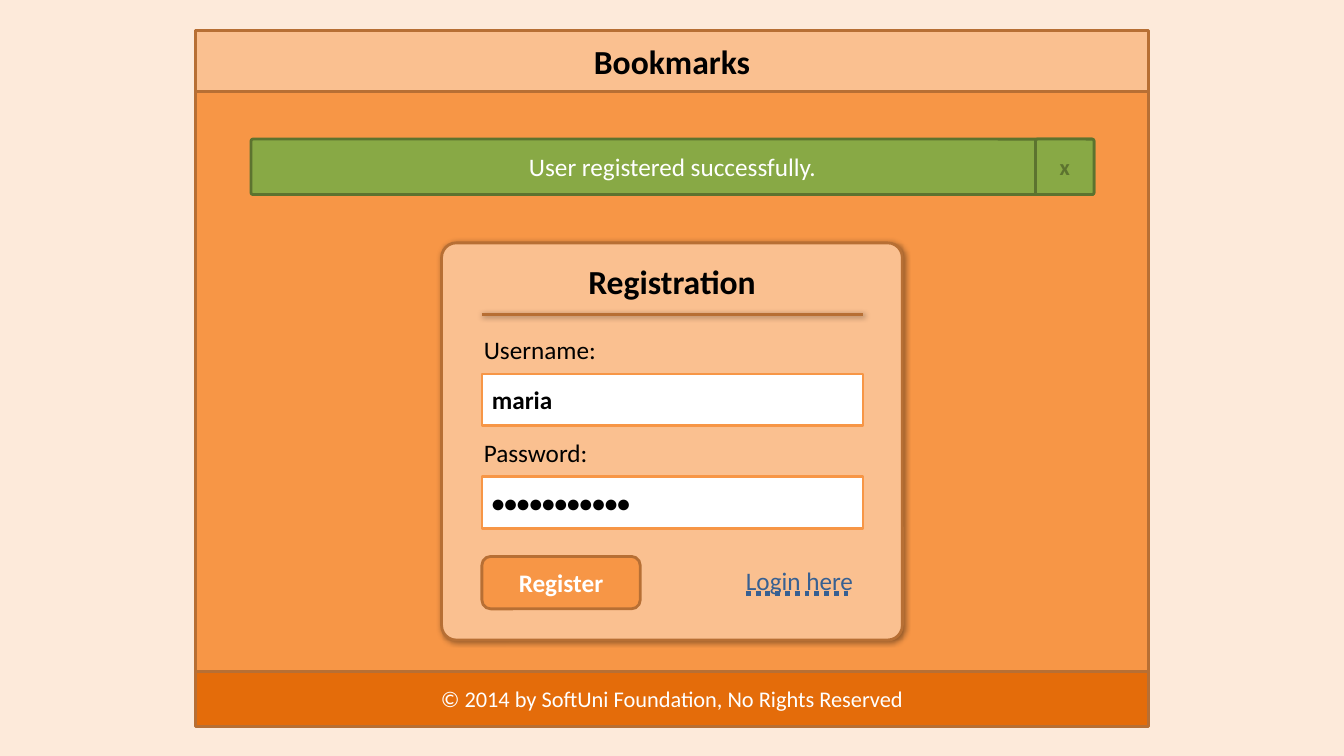
import pptx
import pptx.util
import pptx.dml.color
import pptx.enum.shapes
import pptx.enum.text
import pptx.oxml
import pptx.oxml.ns
import lxml.etree

Inches, Pt = pptx.util.Inches, pptx.util.Pt
RGBColor = pptx.dml.color.RGBColor
Shape = pptx.enum.shapes.MSO_SHAPE
Align = pptx.enum.text.PP_ALIGN
Anchor = pptx.enum.text.MSO_ANCHOR
qn = pptx.oxml.ns.qn

CREAM = RGBColor(0xFD, 0xEA, 0xDA)
PEACH = RGBColor(0xFA, 0xC0, 0x90)
ORANGE = RGBColor(0xF7, 0x96, 0x46)
RUST = RGBColor(0xE4, 0x6C, 0x0A)
BROWN = RGBColor(0xB7, 0x6F, 0x34)
GREEN = RGBColor(0x88, 0xA9, 0x45)
MOSS = RGBColor(0x5C, 0x73, 0x2F)
BLUE = RGBColor(0x37, 0x60, 0x92)
WHITE = RGBColor(0xFF, 0xFF, 0xFF)
BLACK = RGBColor(0, 0, 0)


def write(shape, text, size=18, color=BLACK, bold=False, align=Align.CENTER,
          anchor=Anchor.MIDDLE, under=None):
    """Put one formatted line of text in a shape and return its run."""
    frame = shape.text_frame
    frame.word_wrap = True
    frame.vertical_anchor = anchor
    para = frame.paragraphs[0]
    para.alignment = align
    run = para.add_run()
    run.text = text
    font = run.font
    font.name, font.size, font.bold = "Calibri", Pt(size), bold
    font.color.rgb = color
    font.underline = under
    return run


def panel(slide, x, y, w, h, fill, line, kind=Shape.RECTANGLE, round=None):
    """Draw a filled and outlined shape without a shadow."""
    shape = slide.shapes.add_shape(kind, Inches(x), Inches(y), Inches(w), Inches(h))
    if round is not None:
        shape.adjustments[0] = round
    shape.shadow.inherit = False
    shape.fill.solid()
    shape.fill.fore_color.rgb = fill
    shape.line.color.rgb = line
    shape.line.width = Pt(2)
    return shape


def label(slide, x, y, w, h, text, **style):
    """Add a text box that grows with its text."""
    box = slide.shapes.add_textbox(Inches(x), Inches(y), Inches(w), Inches(h))
    write(box, text, anchor=Anchor.TOP, **style)
    box.text_frame.auto_size = pptx.enum.text.MSO_AUTO_SIZE.SHAPE_TO_FIT_TEXT


def shade(shape):
    """Give a shape or connector a soft shadow to the lower right."""
    props = shape._element.spPr
    effects = props.find(qn("a:effectLst"))
    if effects is None:
        effects = lxml.etree.SubElement(props, qn("a:effectLst"))
    shadow = lxml.etree.SubElement(
        effects, qn("a:outerShdw"), blurRad=str(Pt(4)), dist=str(Pt(1)),
        dir="2700000", algn="tl", rotWithShape="0")
    color = lxml.etree.SubElement(shadow, qn("a:srgbClr"), val=str(BLACK))
    lxml.etree.SubElement(color, qn("a:alpha"), val="40000")


def outline(run, color, width):
    """Outline the letters of a run."""
    line = lxml.etree.Element(qn("a:ln"), w=str(Pt(width)))
    fill = lxml.etree.SubElement(line, qn("a:solidFill"))
    lxml.etree.SubElement(fill, qn("a:srgbClr"), val=str(color))
    run.font._element.insert(0, line)


def window(slide, x, y, w, h):
    """Draw the page with its header and footer bars."""
    head, foot = 0.61, 0.55
    panel(slide, x, y + head, w, h - head - foot, ORANGE, BROWN)
    top = panel(slide, x, y, w, head, PEACH, BROWN)
    write(top, "Bookmarks", size=24, bold=True)
    base = panel(slide, x, y + h - foot, w, foot, RUST, BROWN)
    write(base, "© 2014 by SoftUni Foundation, No Rights Reserved",
          size=16, color=WHITE)


def notice(slide, x, y, w, h):
    """Draw the success message with its close button."""
    close = 0.58
    style = dict(fill=GREEN, line=MOSS, kind=Shape.ROUNDED_RECTANGLE, round=0.035)
    bar = panel(slide, x, y, w, h, **style)
    write(bar, "User registered successfully.", color=WHITE)
    button = panel(slide, x + w - close, y, close, h, **style)
    outline(write(button, "x", size=16, color=MOSS, bold=True), MOSS, 0.75)


def form(slide, x, y, w, h):
    """Draw the registration card with its fields, button and link."""
    shade(panel(slide, x, y, w, h, PEACH, BROWN, Shape.ROUNDED_RECTANGLE, 0.037))
    left, wide = x + 0.4, w - 0.79
    rule = slide.shapes.add_connector(
        pptx.enum.shapes.MSO_CONNECTOR.STRAIGHT, Inches(left), Inches(y + 0.71),
        Inches(left + wide), Inches(y + 0.71))
    rule.line.color.rgb = BROWN
    rule.line.width = Pt(2)
    shade(rule)
    label(slide, x + 0.24, y + 0.13, w - 0.48, 0.5, "Registration",
          size=24, bold=True)
    fields = [("Username:", "maria"), ("Password:", "•••••••••••")]
    for row, (name, value) in enumerate(fields):
        top = y + 0.86 + row * 1.02
        label(slide, left - 0.08, top, wide, 0.4, name, align=Align.LEFT)
        entry = panel(slide, left, top + 0.44, wide, 0.51, WHITE, ORANGE)
        write(entry, value, bold=True, align=Align.LEFT)
    button = panel(slide, left, y + 3.11, 1.57, 0.52, ORANGE, BROWN,
                   Shape.ROUNDED_RECTANGLE)
    write(button, "Register", color=WHITE, bold=True)
    label(slide, left + wide - 2.05, y + 3.15, 2.05, 0.4, "Login here", color=BLUE,
          align=Align.RIGHT,
          under=pptx.enum.text.MSO_UNDERLINE.DOTTED_HEAVY_LINE)


def main():
    """Build the slide and save it."""
    deck = pptx.Presentation()
    deck.slide_width, deck.slide_height = Inches(13.33), Inches(7.5)
    slide = deck.slides.add_slide(deck.slide_layouts[6])
    slide.background.fill.solid()
    slide.background.fill.fore_color.rgb = CREAM
    window(slide, 1.94, 0.3, 9.45, 6.91)
    form(slide, 4.38, 2.41, 4.57, 3.94)
    notice(slide, 2.49, 1.38, 8.36, 0.55)
    deck.save("out.pptx")


if __name__ == "__main__":
    main()
